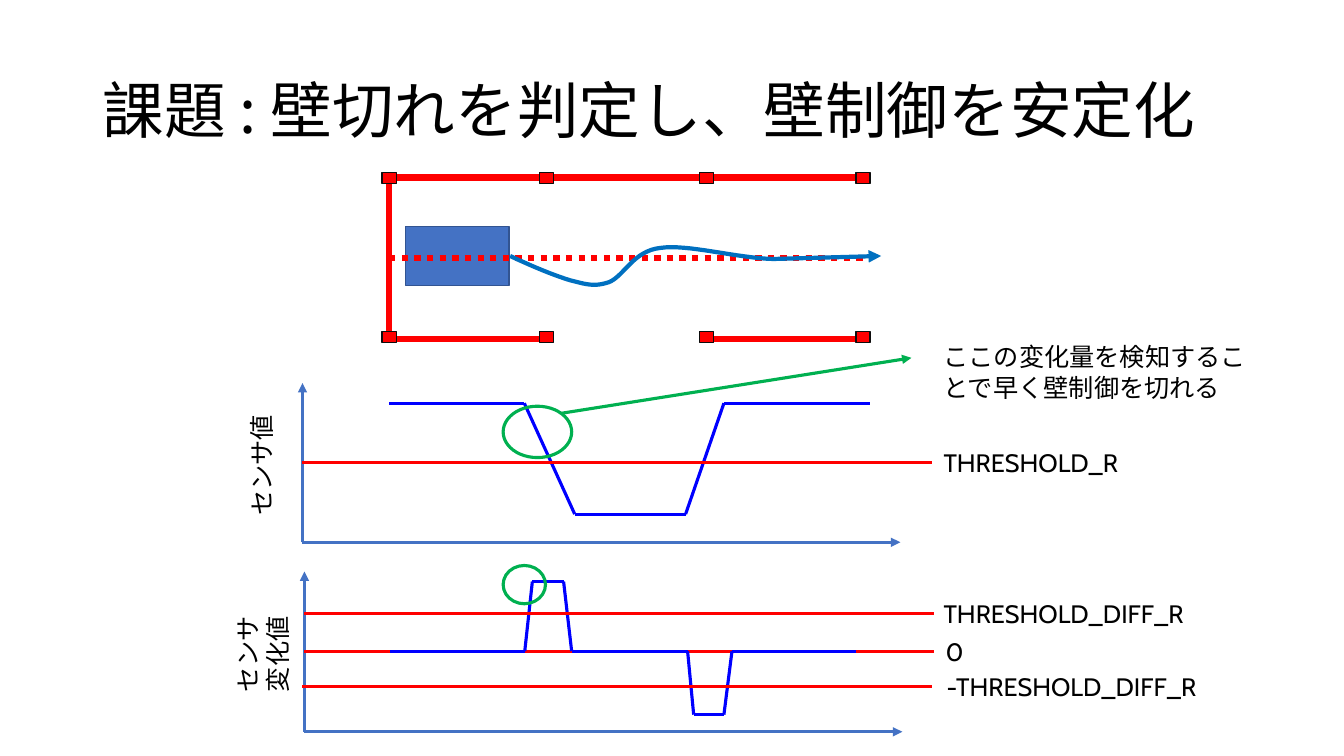
"""Build a slide on detecting wall ends so that wall control stays stable."""
from dataclasses import dataclass
from itertools import pairwise, product

from lxml import etree
from pptx import Presentation
from pptx.dml.color import RGBColor
from pptx.enum.dml import MSO_LINE
from pptx.enum.shapes import MSO_CONNECTOR, MSO_SHAPE
from pptx.enum.text import MSO_ANCHOR, MSO_AUTO_SIZE
from pptx.oxml.ns import qn
from pptx.util import Inches, Pt

STRAIGHT = MSO_CONNECTOR.STRAIGHT
RECTANGLE, OVAL = MSO_SHAPE.RECTANGLE, MSO_SHAPE.OVAL
DOTTED = MSO_LINE.ROUND_DOT
TOP, MIDDLE = MSO_ANCHOR.TOP, MSO_ANCHOR.MIDDLE
GROW, FIXED = MSO_AUTO_SIZE.SHAPE_TO_FIT_TEXT, MSO_AUTO_SIZE.NONE

Point = tuple[float, float]
Area = tuple[float, float, float, float]


@dataclass(frozen=True)
class Theme:
    red: str = "FF0000"
    signal: str = "0000FF"
    axis: str = "4472C4"
    robot_edge: str = "325491"
    post_edge: str = "0D0D0D"
    mark: str = "00B050"
    course: str = "0070C0"
    text: str = "000000"
    japanese: str = "Noto Sans CJK JP"
    latin: str = "Cabin"
    title_size: float = 44
    label_size: float = 18
    wall: float = 4.5
    path_width: float = 3
    graph: float = 2.25
    edge: float = 1


THEME = Theme()


@dataclass(frozen=True)
class Trace:
    points: tuple[Point, ...]
    color: str
    width: float = THEME.graph
    arrow: bool = False
    dotted: bool = False


@dataclass(frozen=True)
class Block:
    area: Area
    kind: int
    line: str
    width: float
    fill: str | None = None


@dataclass(frozen=True)
class Label:
    area: Area
    lines: tuple[str, ...]
    font: str
    size: float = THEME.label_size
    rotation: float = 0
    anchor: int = TOP
    fit: int = GROW
    spacing: float = 1.0


def grid(value: float) -> int:
    """Turn grid columns or rows, ten to the inch, into slide units."""
    return Inches(value / 10)


def style_line(line, color: str, width: float, arrow: bool = False) -> None:
    """Colour a line and give it an arrowhead if wanted."""
    line.color.rgb = RGBColor.from_string(color)
    line.width = Pt(width)
    if arrow:
        stroke = line._get_or_add_ln()
        etree.SubElement(stroke, qn("a:tailEnd"), type="triangle")


def draw_trace(page, trace: Trace) -> None:
    """Join successive points with straight connectors."""
    for start, end in pairwise(trace.points):
        connector = page.shapes.add_connector(STRAIGHT, *map(grid, start + end))
        if trace.dotted:
            connector.line.dash_style = DOTTED
        style_line(connector.line, trace.color, trace.width, trace.arrow)
        etree.SubElement(connector._element.spPr, qn("a:effectLst"))


def draw_block(page, block: Block) -> None:
    """Draw a preset shape, filled or hollow."""
    shape = page.shapes.add_shape(block.kind, *map(grid, block.area))
    shape.shadow.inherit = False
    if block.fill:
        shape.fill.solid()
        shape.fill.fore_color.rgb = RGBColor.from_string(block.fill)
    else:
        shape.fill.background()
    style_line(shape.line, block.line, block.width)


def draw_label(page, label: Label) -> None:
    """Place a text box with one paragraph per line."""
    box = page.shapes.add_textbox(*map(grid, label.area))
    box.rotation = label.rotation
    frame = box.text_frame
    frame.word_wrap = True
    frame.auto_size = label.fit
    frame.vertical_anchor = label.anchor
    frame.text = "\n".join(label.lines)
    for para in frame.paragraphs:
        para.line_spacing = label.spacing
        para.font.size = Pt(label.size)
        para.font.color.rgb = RGBColor.from_string(THEME.text)
        para.font.name = label.font
        etree.SubElement(para.font._element, qn("a:ea"), typeface=label.font)


def bezier(corners: tuple[Point, ...], share: float) -> Point:
    """Find the point at a share of the way along a cubic curve."""
    rest = 1 - share
    weights = (rest**3, 3 * rest**2 * share, 3 * rest * share**2, share**3)
    x, y = (sum(w * v for w, v in zip(weights, axis)) for axis in zip(*corners))
    return x, y


def draw_course(page, knots: tuple[Point, ...], end: Point, steps: int = 16) -> None:
    """Draw the robot's winding course, ending in a straight arrow."""
    curve = [
        bezier(knots[first:first + 4], step / steps)
        for first in range(0, len(knots) - 1, 3)
        for step in range(1, steps + 1)
    ]
    builder = page.shapes.build_freeform(*map(grid, knots[0]))
    builder.add_line_segments(
        [(grid(x), grid(y)) for x, y in curve + [end]], close=False
    )
    course = builder.convert_to_shape()
    course.shadow.inherit = False
    course.fill.background()
    style_line(course.line, THEME.course, THEME.path_width, arrow=True)


def level(left: float, row: float) -> Trace:
    """Describe a red reference line across a graph."""
    return Trace(((left, row), (left + 62.4, row)), THEME.red)


def axes(left: float, top: float, bottom: float) -> list[Trace]:
    """Describe the two arrows of a graph."""
    ends = ((left, top), (left + 59.3, bottom))
    return [Trace(((left, bottom), end), THEME.axis, arrow=True) for end in ends]


TITLE = Label((9.2, 4, 115, 14.5), ("課題 : 壁切れを判定し、壁制御を安定化",),
              THEME.japanese, THEME.title_size, anchor=MIDDLE, fit=FIXED, spacing=0.9)
ROBOT = Block((40.2, 22.5, 10.3, 5.8), RECTANGLE, THEME.robot_edge, THEME.edge, THEME.axis)
WALLS = [
    Trace(tuple((x, 17.6) for x in (38.6, 46.3, 54.2, 63.3, 70.1, 77.6, 85.6)),
          THEME.red, THEME.wall),
    Trace(tuple((38.6, y) for y in (17.6, 25.6, 33.7)), THEME.red, THEME.wall),
    Trace(tuple((x, 33.6) for x in (38.6, 46.3, 54.2)), THEME.red, THEME.wall),
    Trace(tuple((x, 33.6) for x in (69.9, 77.6, 85.6)), THEME.red, THEME.wall),
    Trace(((38.6, 25.6), (86.3, 25.6)), THEME.red, THEME.wall, dotted=True),
]
POSTS = [
    Block((x, y, 1.4, 1.1), RECTANGLE, THEME.post_edge, THEME.edge, THEME.red)
    for x, y in product((37.9, 53.5, 69.4, 84.9), (17.1, 32.9))
]
COURSE = ((50.6, 25.4), (52.7, 26.4), (54.9, 27.3), (56.5, 27.8), (58.1, 28.2),
          (58.9, 28.5), (60.4, 28), (61.9, 27.4), (62.8, 24.9), (65.5, 24.6),
          (68.2, 24.2), (73, 25.6), (76.7, 25.7))
COURSE_END = (87.4, 25.4)
GRAPHS = [
    Trace(((38.6, 40), (52, 40), (57, 51), (68, 51), (71.8, 40), (86.3, 40)), THEME.signal),
    *axes(30, 38, 53.8),
    level(30, 45.9),
    Trace(((55.7, 41), (90.4, 35.5)), THEME.mark, arrow=True),
    *axes(30.2, 56.7, 72.6),
    level(30.2, 64.6),
    Trace(((38.7, 64.6), (52.05, 64.6), (52.8, 57.7), (55.9, 57.7), (56.7, 64.6),
           (68.2, 64.6), (68.8, 70.9), (71.8, 70.9), (72.6, 64.6), (84.9, 64.6)),
          THEME.signal),
    level(30.2, 60.9),
    level(30, 68.1),
]
MARKS = [
    Block(area, OVAL, THEME.mark, THEME.graph)
    for area in ((49.9, 40.3, 6.8, 5.1), (49.9, 56.1, 4.2, 3.8))
]
LABELS = [
    Label((16.7, 40.9, 18.5, 4), ("センサ値",), THEME.japanese, rotation=270),
    Label((21.1, 61.1, 10, 7.1), ("センサ", "変化値"), THEME.japanese, rotation=270),
    Label((92.6, 33.4, 32.9, 7.1), ("ここの変化量を検知することで早く壁制御を切れる",),
          THEME.japanese),
    Label((92.6, 43.9, 21.6, 4), ("THRESHOLD_R",), THEME.latin),
    Label((92.6, 58.9, 27.2, 4), ("THRESHOLD_DIFF_R",), THEME.latin),
    Label((92.8, 62.6, 21.6, 4), ("0",), THEME.latin),
    Label((92.9, 66.1, 29.3, 4), ("-THRESHOLD_DIFF_R",), THEME.latin),
]


def main() -> None:
    """Draw the maze, the two graphs and their labels."""
    deck = Presentation()
    deck.slide_width, deck.slide_height = Inches(13.33), Inches(7.5)
    page = deck.slides.add_slide(deck.slide_layouts[6])
    draw_label(page, TITLE)
    draw_block(page, ROBOT)
    for trace in WALLS:
        draw_trace(page, trace)
    for post in POSTS:
        draw_block(page, post)
    draw_course(page, COURSE, COURSE_END)
    for trace in GRAPHS:
        draw_trace(page, trace)
    for mark in MARKS:
        draw_block(page, mark)
    for label in LABELS:
        draw_label(page, label)
    deck.save("out.pptx")


if __name__ == "__main__":
    main()
